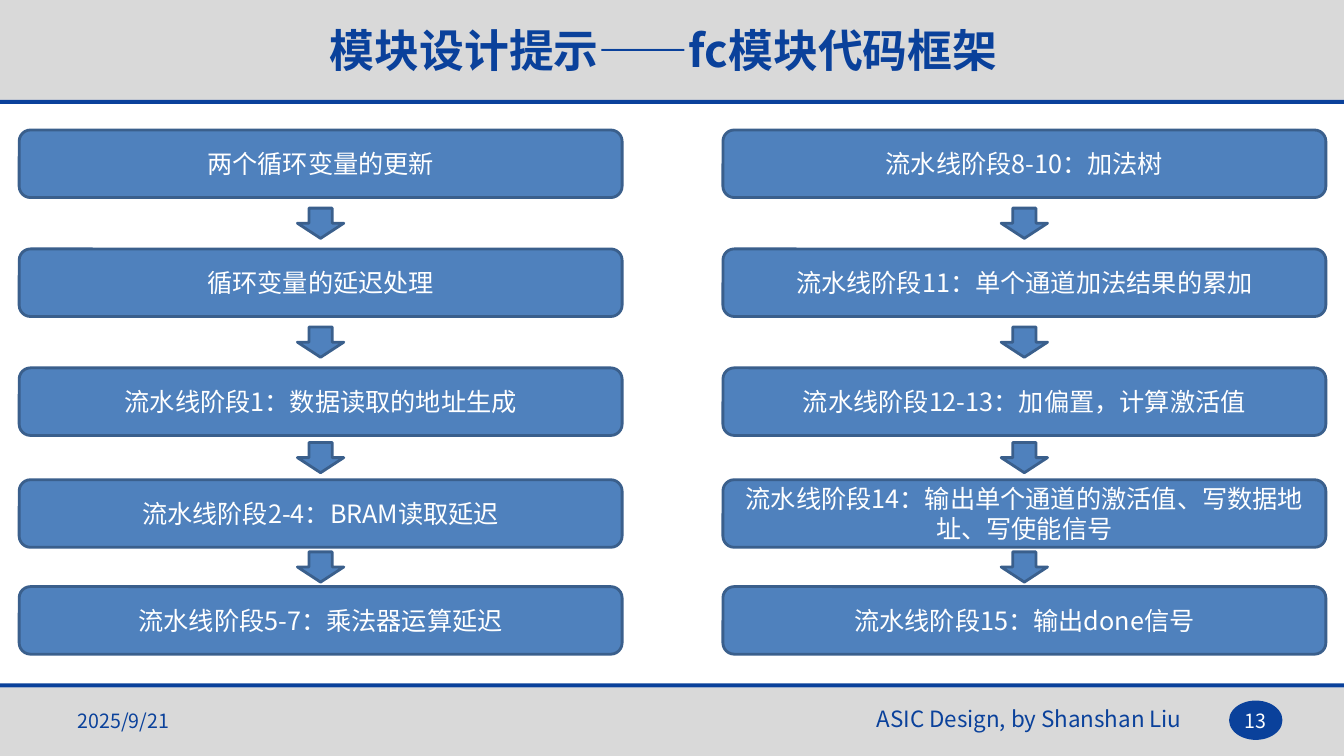
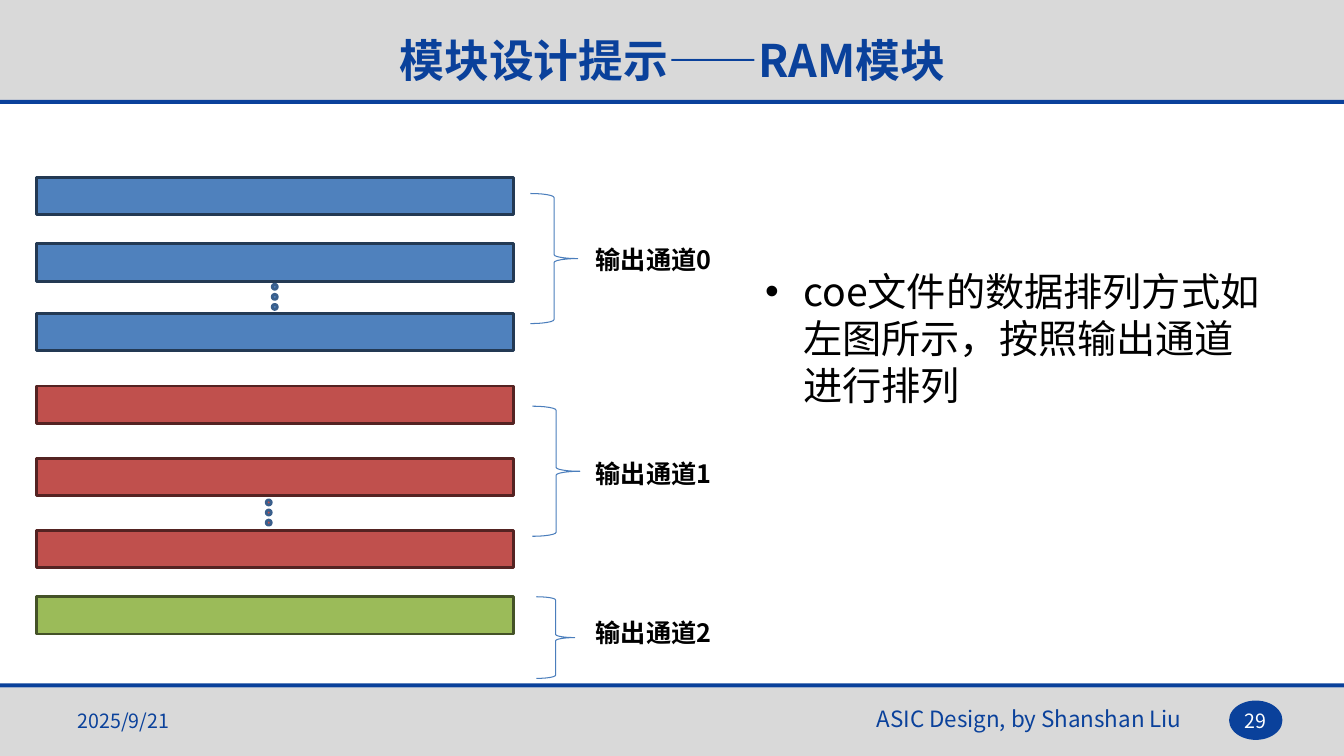
from dataclasses import dataclass
from itertools import pairwise

from pptx import Presentation
from pptx.dml.color import RGBColor
from pptx.enum.shapes import MSO_SHAPE as Preset
from pptx.enum.text import MSO_ANCHOR as Anchor, MSO_AUTO_SIZE as AutoSize, PP_ALIGN as Align
from pptx.oxml import parse_xml
from pptx.oxml.ns import nsdecls, qn
from pptx.util import Inches, Pt

FONT = "Noto Sans CJK SC"
COLORS = {
    "navy": "0A419B", "band": "D9D9D9", "white": "FFFFFF", "black": "000000",
    "blue": "4F81BD", "blue_edge": "3A5F8C", "blue_dark": "233953",
    "red": "C0504D", "red_dark": "542322",
    "green": "9BBB59", "green_dark": "445227", "brace": "4B7EBC",
}
SLIDE_WIDTH, SLIDE_HEIGHT = 13.33, 7.5


@dataclass(frozen=True)
class Box:
    left: float
    top: float
    width: float
    height: float

    def lengths(self) -> tuple:
        return tuple(Inches(v) for v in (self.left, self.top, self.width, self.height))


@dataclass(frozen=True)
class TextStyle:
    size: int
    color: str
    bold: bool = False
    align: Align = Align.LEFT
    anchor: Anchor = Anchor.TOP


@dataclass(frozen=True)
class Channel:
    """One output channel: its memory rows, its brace and its label."""
    label: str
    label_top: float
    fill: str
    line: str
    row_tops: tuple
    brace: Box
    dots_left: float = 0
    dots_top: float = 0


TITLE = TextStyle(32, "navy", True, anchor=Anchor.MIDDLE)
CENTERED_TITLE = TextStyle(32, "navy", True, Align.CENTER, Anchor.MIDDLE)
DATE = TextStyle(14, "navy", anchor=Anchor.MIDDLE)
COURSE = TextStyle(16, "navy", align=Align.RIGHT)
PAGE_NUMBER = TextStyle(14, "white", align=Align.CENTER, anchor=Anchor.MIDDLE)
STAGE = TextStyle(18, "white", align=Align.CENTER, anchor=Anchor.MIDDLE)
LABEL = TextStyle(18, "black", True)
BODY = TextStyle(28, "black")

STAGE_TOPS = (1.29, 2.47, 3.65, 4.76, 5.82)
STAGE_WIDTH, STAGE_HEIGHT = 5.98, 0.67
ARROW_WIDTH, ARROW_HEIGHT = 0.46, 0.3
STAGE_COLUMNS = {
    0.19: ("两个循环变量的更新", "循环变量的延迟处理", "流水线阶段1：数据读取的地址生成",
           "流水线阶段2-4：BRAM读取延迟", "流水线阶段5-7：乘法器运算延迟"),
    7.17: ("流水线阶段8-10：加法树", "流水线阶段11：单个通道加法结果的累加",
           "流水线阶段12-13：加偏置，计算激活值",
           "流水线阶段14：输出单个通道的激活值、写数据地址、写使能信号",
           "流水线阶段15：输出done信号"),
}
CHANNELS = (
    Channel("输出通道0", 2.37, "blue", "blue_dark", (1.76, 2.42, 3.11),
            Box(5.26, 1.92, 0.47, 1.29), 2.7, 2.82),
    Channel("输出通道1", 4.5, "red", "red_dark", (3.83, 4.55, 5.26),
            Box(5.28, 4.03, 0.47, 1.29), 2.64, 4.96),
    Channel("输出通道2", 6.08, "green", "green_dark", (5.92,),
            Box(5.32, 5.92, 0.38, 0.81)),
)


def rgb(name: str) -> RGBColor:
    return RGBColor.from_string(COLORS[name])


def write(shape, text: str, style: TextStyle, wrap: bool = True) -> None:
    frame = shape.text_frame
    frame.text = text
    frame.word_wrap = wrap
    frame.auto_size = AutoSize.NONE
    frame.vertical_anchor = style.anchor
    paragraph = frame.paragraphs[0]
    paragraph.alignment = style.align
    for run in paragraph.runs:
        font = run.font
        font.name, font.size, font.bold = FONT, Pt(style.size), style.bold
        font.color.rgb = rgb(style.color)
        # East Asian glyphs take their font from a separate element
        font._element.find(qn("a:latin")).addnext(
            parse_xml(f'<a:ea {nsdecls("a")} typeface="{FONT}"/>'))


def add_text(slide, box: Box, text: str, style: TextStyle, wrap: bool = True):
    shape = slide.shapes.add_textbox(*box.lengths())
    write(shape, text, style, wrap)
    return shape


def add_preset(slide, preset: Preset, box: Box, fill: str | None = None,
               line: str | None = None, line_width: float = 2):
    shape = slide.shapes.add_shape(preset, *box.lengths())
    shape.shadow.inherit = False
    if fill:
        shape.fill.solid()
        shape.fill.fore_color.rgb = rgb(fill)
    else:
        shape.fill.background()
    if line:
        shape.line.color.rgb = rgb(line)
        shape.line.width = Pt(line_width)
    else:
        shape.line.fill.background()
    return shape


def add_bullet(shape, indent: float) -> None:
    properties = shape.text_frame.paragraphs[0]._p.get_or_add_pPr()
    properties.set("marL", str(Inches(indent)))
    properties.set("indent", str(Inches(-indent)))
    properties.append(parse_xml(f'<a:buFont {nsdecls("a")} typeface="Arial"/>'))
    properties.append(parse_xml(f'<a:buChar {nsdecls("a")} char="•"/>'))


def add_framed_slide(presentation, title_text: str, title_box: Box,
                     title_style: TextStyle, number: int):
    """Add a slide with the shared bands, rules and footer."""
    slide = presentation.slides.add_slide(presentation.slide_layouts[5])
    for top, height, color in ((6.82, 0.68, "band"), (0, 0.99, "band"),
                               (0.99, 0.04, "navy"), (6.78, 0.04, "navy")):
        add_preset(slide, Preset.RECTANGLE, Box(0, top, SLIDE_WIDTH, height), color)
    add_preset(slide, Preset.OVAL, Box(12.19, 6.95, 0.53, 0.39), "navy")
    add_text(slide, Box(4.99, 6.95, 6.83, 0.55), "ASIC Design, by Shanshan Liu", COURSE)

    title = slide.shapes.title
    title.left, title.top, title.width, title.height = title_box.lengths()
    write(title, title_text, title_style)
    title.element.getparent().append(title.element)  # in front of the band

    add_text(slide, Box(0.67, 6.95, 3.11, 0.4), "2025/9/21", DATE)
    add_text(slide, Box(12.13, 6.95, 0.65, 0.4), str(number), PAGE_NUMBER)
    return slide


def add_stage_column(slide, left: float, stages: tuple) -> None:
    for top, text in zip(STAGE_TOPS, stages):
        stage = add_preset(slide, Preset.ROUNDED_RECTANGLE,
                           Box(left, top, STAGE_WIDTH, STAGE_HEIGHT), "blue", "blue_edge")
        write(stage, text, STAGE)
    arrow_left = left + (STAGE_WIDTH - ARROW_WIDTH) / 2
    for upper, lower in pairwise(STAGE_TOPS):
        arrow_top = (upper + STAGE_HEIGHT + lower - ARROW_HEIGHT) / 2
        add_preset(slide, Preset.DOWN_ARROW,
                   Box(arrow_left, arrow_top, ARROW_WIDTH, ARROW_HEIGHT), "blue", "blue_edge")


def add_channel(slide, channel: Channel) -> None:
    for top in channel.row_tops:
        add_preset(slide, Preset.RECTANGLE, Box(0.36, top, 4.73, 0.37),
                   channel.fill, channel.line)
    if channel.dots_top:
        for index in range(3):
            dot = Box(channel.dots_left, channel.dots_top + 0.1 * index, 0.05, 0.05)
            add_preset(slide, Preset.OVAL, dot, channel.fill, "blue_edge")
    brace = add_preset(slide, Preset.LEFT_BRACE, channel.brace, line="brace", line_width=0.75)
    brace.rotation = 180
    add_text(slide, Box(5.81, channel.label_top, 1.48, 0.4), channel.label, LABEL, wrap=False)


def build_pipeline_slide(presentation) -> None:
    slide = add_framed_slide(presentation, "模块设计提示——fc模块代码框架",
                             Box(3.17, 0.16, 7, 0.67), TITLE, 13)
    for left, stages in STAGE_COLUMNS.items():
        add_stage_column(slide, left, stages)


def build_memory_slide(presentation) -> None:
    slide = add_framed_slide(presentation, "模块设计提示——RAM模块",
                             Box(1.9, 0.26, 9.54, 0.67), CENTERED_TITLE, 29)
    body = add_text(slide, Box(7.49, 2.6, 5.17, 1.71),
                    "coe文件的数据排列方式如左图所示，按照输出通道进行排列", BODY)
    add_bullet(body, 0.38)
    for channel in CHANNELS:
        add_channel(slide, channel)


def main() -> None:
    presentation = Presentation()
    presentation.slide_width = Inches(SLIDE_WIDTH)
    presentation.slide_height = Inches(SLIDE_HEIGHT)
    build_pipeline_slide(presentation)
    build_memory_slide(presentation)
    presentation.save("out.pptx")


if __name__ == "__main__":
    main()
